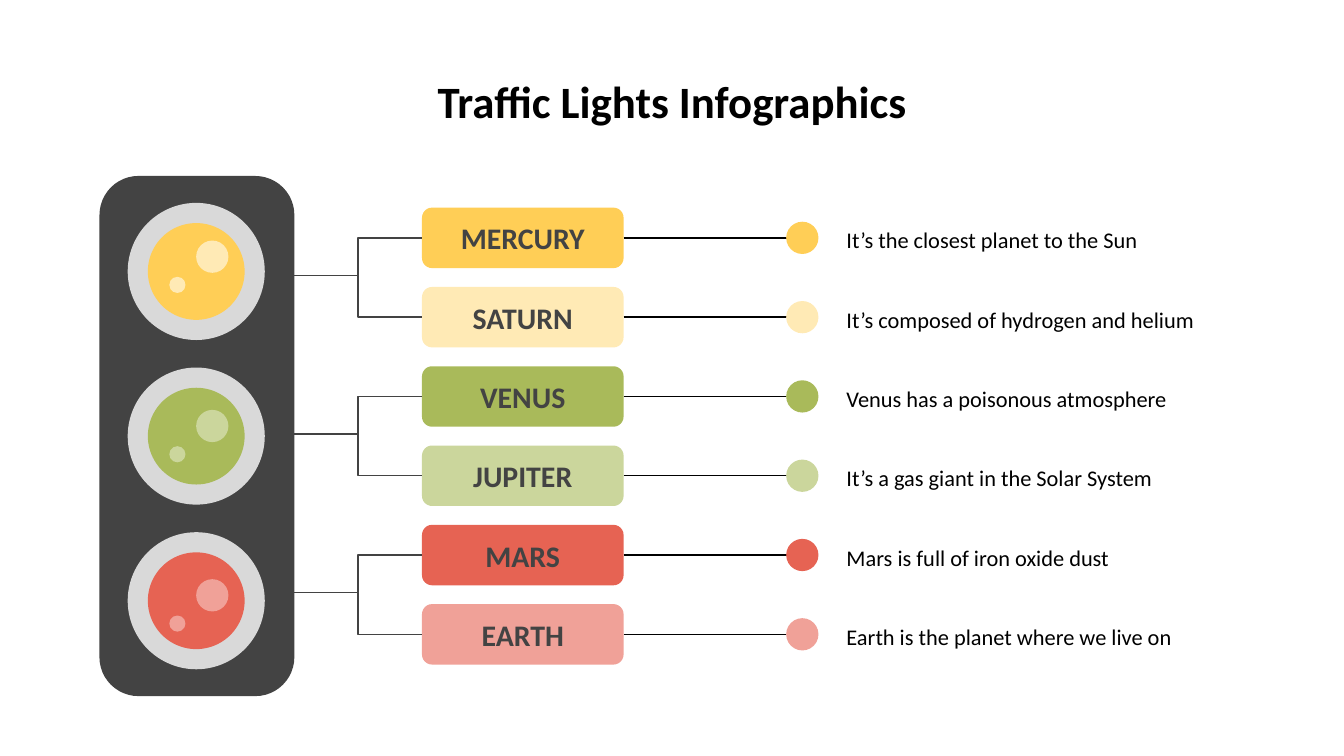
from pptx import Presentation
from pptx.dml.color import RGBColor
from pptx.enum.shapes import MSO_CONNECTOR as Connector, MSO_SHAPE as Shape
from pptx.enum.text import MSO_ANCHOR as Anchor, MSO_AUTO_SIZE as AutoSize, PP_ALIGN as Align
from pptx.oxml.ns import qn
from pptx.util import Inches, Pt
from lxml import etree

DARK, RING, BLACK = "434343", "D9D9D9", "000000"
LAMPS = [("FFCE56", "FFEAB5"), ("A9BA5A", "CBD69C"), ("E66353", "F0A198")]
PLANETS = [
    ("MERCURY", "It’s the closest planet to the Sun"),
    ("SATURN", "It’s composed of hydrogen and helium"),
    ("VENUS", "Venus has a poisonous atmosphere"),
    ("JUPITER", "It’s a gas giant in the Solar System"),
    ("MARS", "Mars is full of iron oxide dust"),
    ("EARTH", "Earth is the planet where we live on"),
]
FIRST_ROW, ROW_STEP = 1.77, 0.59
PILL_LEFT, PILL_WIDTH, PILL_HEIGHT = 3.14, 1.5, 0.45
CAPTION_HEIGHT = 0.55

presentation = Presentation()
presentation.slide_width = Inches(10)
presentation.slide_height = Inches(10 * 9 / 16)
slide = presentation.slides.add_slide(presentation.slide_layouts[5])
shapes = slide.shapes


def paint(item, color):
    if hasattr(item, "begin_x"):
        item.line.color.rgb = RGBColor.from_string(color)
        item.line.width = Pt(0.75)
        etree.SubElement(item._element.spPr, qn("a:effectLst"))
    else:
        item.shadow.inherit = False
        item.fill.solid()
        item.fill.fore_color.rgb = RGBColor.from_string(color)
        item.line.fill.background()


def write(shape, text, size, color, bold, align, anchor, spacing=1.0):
    frame = shape.text_frame
    frame_format = {"word_wrap": True, "auto_size": AutoSize.NONE, "vertical_anchor": anchor}
    for side in ("left", "top", "right", "bottom"):
        frame_format[f"margin_{side}"] = Inches(0.1)
    for name, value in frame_format.items():
        setattr(frame, name, value)
    paragraph = frame.paragraphs[0]
    paragraph.text = text
    paragraph.alignment, paragraph.line_spacing = align, spacing
    for name, value in {"name": "Calibri", "size": Pt(size), "bold": bold}.items():
        setattr(paragraph.runs[0].font, name, value)
    paragraph.runs[0].font.color.rgb = RGBColor.from_string(color)


title = shapes.title
title_box = {"left": 0.5, "top": 0.45, "width": 9, "height": 0.44}
for name, value in title_box.items():
    setattr(title, name, Inches(value))
write(title, "Traffic Lights Infographics", 24, BLACK, True, Align.CENTER, Anchor.TOP)

housing = shapes.add_shape(Shape.ROUNDED_RECTANGLE, Inches(0.74), Inches(1.31), Inches(1.45), Inches(3.87))
housing.adjustments[0] = 0.2
paint(housing, DARK)

for index, (color, tint) in enumerate(LAMPS):
    lamp_y = 2.02 + 2.45 / 2 * index
    glint_y = 1.91 + 1.26 * index
    circles = [
        (1.46, lamp_y, 0.51, RING),
        (1.46, lamp_y, 0.36, color),
        (1.58, glint_y, 0.12, tint),
        (1.32, glint_y + 0.21, 0.06, tint),
    ]
    for x, y, radius, fill in circles:
        circle = shapes.add_shape(
            Shape.OVAL, Inches(x - radius), Inches(y - radius), Inches(2 * radius), Inches(2 * radius))
        paint(circle, fill)

for index, (planet, fact) in enumerate(PLANETS):
    lamp, member = divmod(index, 2)
    color = LAMPS[lamp][member]
    row_y = FIRST_ROW + ROW_STEP * index
    branch_y = 2.05 + 2 * ROW_STEP * lamp

    pill = shapes.add_shape(
        Shape.FLOWCHART_ALTERNATE_PROCESS, Inches(PILL_LEFT), Inches(row_y - PILL_HEIGHT / 2),
        Inches(PILL_WIDTH), Inches(PILL_HEIGHT))
    paint(pill, color)
    write(pill, planet, 16, DARK, True, Align.CENTER, Anchor.MIDDLE)

    branch = shapes.add_connector(
        Connector.ELBOW, Inches(2.19), Inches(branch_y), Inches(PILL_LEFT), Inches(row_y))
    paint(branch, DARK)

    link = shapes.add_connector(
        Connector.STRAIGHT, Inches(PILL_LEFT + PILL_WIDTH), Inches(row_y), Inches(6.01), Inches(row_y))
    link.begin_connect(pill, 3)
    paint(link, BLACK)

    dot = shapes.add_shape(Shape.OVAL, Inches(5.85), Inches(row_y - 0.12), Inches(0.24), Inches(0.24))
    paint(dot, color)

    caption = shapes.add_textbox(
        Inches(6.2), Inches(row_y - CAPTION_HEIGHT / 2), Inches(3.06), Inches(CAPTION_HEIGHT))
    write(caption, fact, 12, BLACK, False, Align.LEFT, Anchor.MIDDLE, 1.15)

presentation.save("out.pptx")
